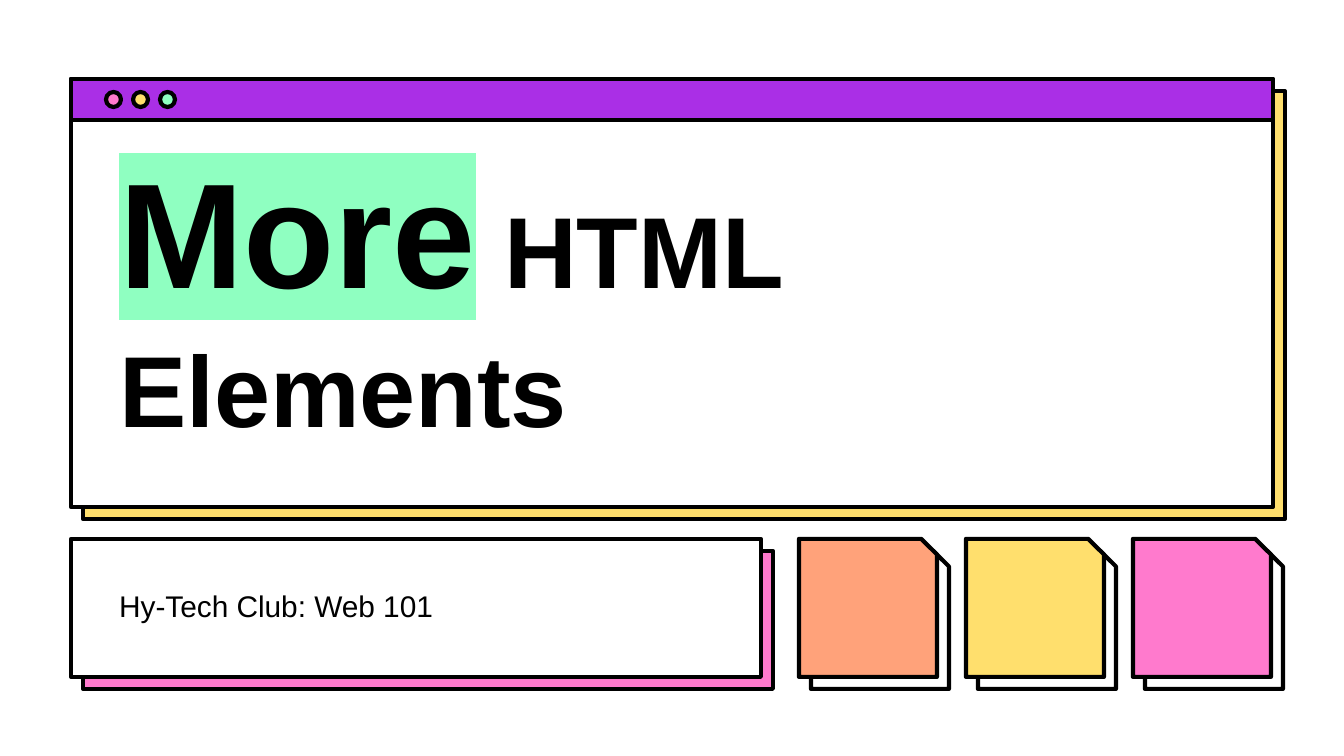
from lxml.etree import SubElement
from pptx import Presentation
from pptx.dml.color import RGBColor
from pptx.enum.shapes import MSO_SHAPE
from pptx.enum.text import MSO_ANCHOR
from pptx.oxml.ns import qn
from pptx.util import Emu, Pt

PX = 914400 / 134.4  # EMU per px
BLACK = RGBColor(0x00, 0x00, 0x00)
WHITE = RGBColor(0xFF, 0xFF, 0xFF)
PURPLE = RGBColor(0xAA, 0x2F, 0xE6)
PINK = RGBColor(0xFF, 0x7A, 0xCD)
YELLOW = RGBColor(0xFF, 0xDF, 0x6D)
MINT = RGBColor(0x8F, 0xFF, 0xC1)
ORANGE = RGBColor(0xFF, 0xA2, 0x7A)

SHADOW_OFFSET = 12
LEFT = 71
WINDOW_TOP, WINDOW_WIDTH = 79, 1202
ROW_TOP, ROW_HEIGHT = 539, 138


def px(value):
    return Emu(round(value * PX))


def add_outlined(slide, kind, left, top, width, height, fill):
    shape = slide.shapes.add_shape(kind, px(left), px(top), px(width), px(height))
    shape.shadow.inherit = False
    shape.fill.solid()
    shape.fill.fore_color.rgb = fill
    shape.line.color.rgb = BLACK
    shape.line.width = Pt(2.25)
    if kind == MSO_SHAPE.SNIP_1_RECTANGLE:
        shape.adjustments[0] = 0.113
    return shape


def add_raised(slide, kind, left, top, width, height, fill, shadow_fill):
    """Draw a shape over an offset block of the same size."""
    add_outlined(slide, kind, left + SHADOW_OFFSET, top + SHADOW_OFFSET,
                 width, height, shadow_fill)
    add_outlined(slide, kind, left, top, width, height, fill)


def add_text_box(slide, left, top, width, height, anchor):
    box = slide.shapes.add_textbox(px(left), px(top), px(width), px(height))
    frame = box.text_frame
    frame.word_wrap = True
    frame.vertical_anchor = anchor
    frame.margin_left = frame.margin_right = Pt(7.2)
    frame.margin_top = frame.margin_bottom = Pt(7.2)
    return frame.paragraphs[0]


def add_run(paragraph, text, size, bold=False, highlight=None):
    run = paragraph.add_run()
    run.text = text
    run.font.size = Pt(size)
    run.font.bold = bold
    run.font.color.rgb = BLACK
    if highlight is not None:
        # The highlight element sits between the fill and the typeface
        element = SubElement(run.font._element, qn("a:highlight"))
        SubElement(element, qn("a:srgbClr"), val=str(highlight))
    run.font.name = "Arial"


def main():
    presentation = Presentation()
    presentation.slide_width = px(1344)
    presentation.slide_height = px(756)
    slide = presentation.slides.add_slide(presentation.slide_layouts[6])
    slide.background.fill.solid()
    slide.background.fill.fore_color.rgb = WHITE

    # Browser window with its title bar and buttons
    add_raised(slide, MSO_SHAPE.RECTANGLE, LEFT, WINDOW_TOP, WINDOW_WIDTH, 428,
               WHITE, YELLOW)
    add_outlined(slide, MSO_SHAPE.RECTANGLE, LEFT, WINDOW_TOP, WINDOW_WIDTH, 41, PURPLE)
    for index, color in enumerate((PINK, YELLOW, MINT)):
        add_outlined(slide, MSO_SHAPE.OVAL, 106 + 27 * index, 92, 15, 15, color)

    # Subtitle panel
    add_raised(slide, MSO_SHAPE.RECTANGLE, LEFT, ROW_TOP, 690, ROW_HEIGHT, WHITE, PINK)

    # Snipped tiles
    for index, color in enumerate((ORANGE, YELLOW, PINK)):
        add_raised(slide, MSO_SHAPE.SNIP_1_RECTANGLE, 799 + 167 * index, ROW_TOP,
                   ROW_HEIGHT, ROW_HEIGHT, color, WHITE)

    # Title and subtitle
    title = add_text_box(slide, 106, 167, 1133, 294, MSO_ANCHOR.BOTTOM)
    title.line_spacing = 1.07
    add_run(title, "More", 80, bold=True, highlight=MINT)
    add_run(title, " HTML Elements", 54, bold=True)
    subtitle = add_text_box(slide, 106, 574, 610, 66, MSO_ANCHOR.TOP)
    add_run(subtitle, "Hy-Tech Club: Web 101", 16)

    presentation.save("out.pptx")


if __name__ == "__main__":
    main()
